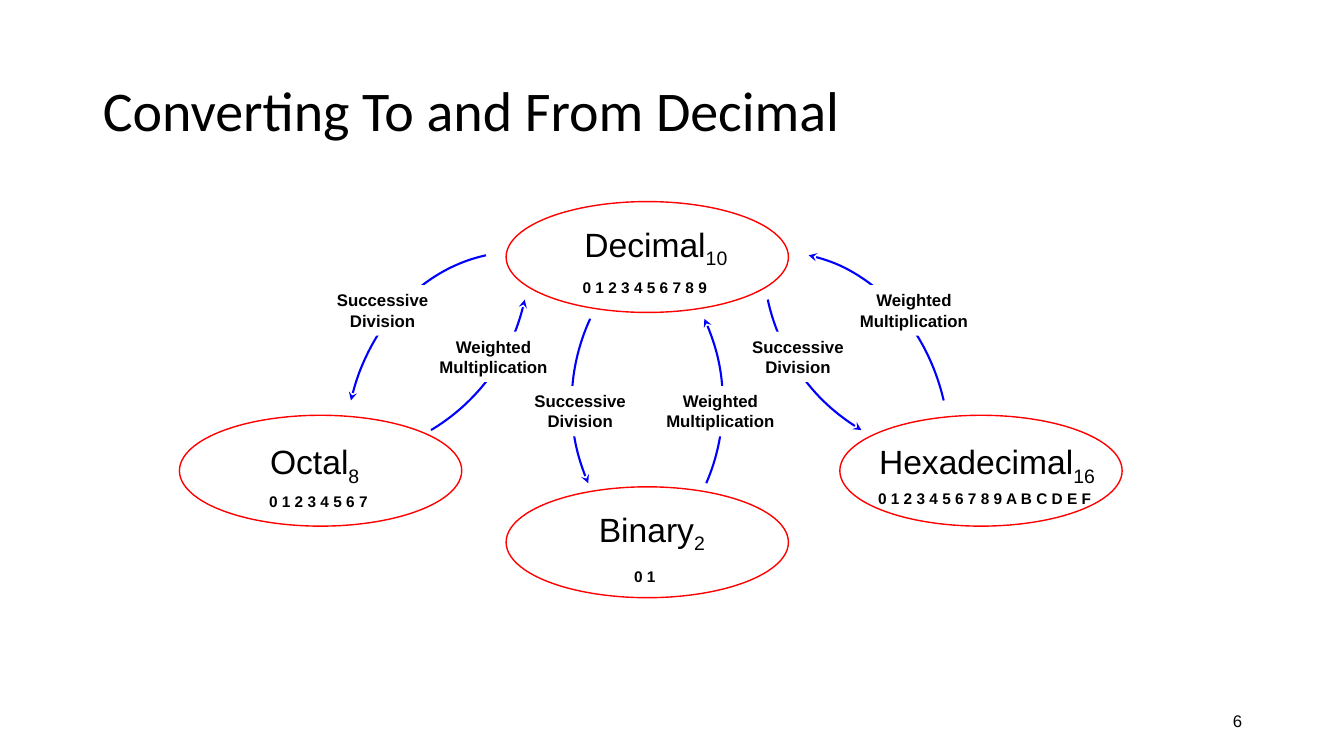
import lxml.etree
import pptx
import pptx.dml.color
import pptx.enum.shapes
import pptx.enum.text
import pptx.oxml.ns
import pptx.util
from pptx.util import Inches

BLACK = pptx.dml.color.RGBColor(0, 0, 0)
WHITE = pptx.dml.color.RGBColor(255, 255, 255)
RED = pptx.dml.color.RGBColor(255, 0, 0)
BLUE = pptx.dml.color.RGBColor(0, 0, 255)
SHAPES = pptx.enum.shapes.MSO_SHAPE
ALIGN = pptx.enum.text.PP_ALIGN
ANCHOR = pptx.enum.text.MSO_ANCHOR
qn = pptx.oxml.ns.qn


def write(frame, text, size, font="Arial", bold=False, align=ALIGN.LEFT,
          anchor=ANCHOR.TOP, wrap=False, subscript="", spacing=1.0):
    """Fill a text frame, one paragraph per line, with an optional closing subscript."""
    frame.auto_size = pptx.enum.text.MSO_AUTO_SIZE.NONE
    frame.word_wrap = wrap
    frame.vertical_anchor = anchor
    for number, line in enumerate(text.split("\n")):
        paragraph = frame.add_paragraph() if number else frame.paragraphs[0]
        paragraph.alignment = align
        paragraph.line_spacing = spacing
        for part in filter(None, (line, subscript)):
            run = paragraph.add_run()
            run.text = part
            run.font.name = font
            run.font.size = pptx.util.Pt(size)
            run.font.bold = bold
            run.font.color.rgb = BLACK
        if subscript:
            run.font._element.set("baseline", "-25000")


def add_plain_shape(preset, left, top, width, height, fill=None, line=None, weight=1):
    shape = slide.shapes.add_shape(
        preset, Inches(left), Inches(top), Inches(width), Inches(height))
    shape.shadow.inherit = False
    if fill is None:
        shape.fill.background()
    else:
        shape.fill.solid()
        shape.fill.fore_color.rgb = fill
    if line is None:
        shape.line.fill.background()
    else:
        shape.line.color.rgb = line
        shape.line.width = pptx.util.Pt(weight)
    return shape


deck = pptx.Presentation()
deck.slide_width = Inches(13.33)
deck.slide_height = Inches(7.5)
slide = deck.slides.add_slide(deck.slide_layouts[5])

title = slide.shapes.title
title.left, title.top = Inches(0.92), Inches(0.4)
title.width, title.height = Inches(11.5), Inches(1.45)
write(title.text_frame, "Converting To and From Decimal", 40, font="Calibri",
      anchor=ANCHOR.MIDDLE, wrap=True, spacing=0.9)

# Arcs: left, top, width, height, start and end in degrees, mirrored
arcs = [
    (1.25, 0.55, 4, 4, 12.2, 59.16, False),
    (3.42, 2.5, 3.42, 4, 197.7, 261.04, False),
    (3.17, 2, 4, 4, 335.26, 23.4, False),
    (7.57, 0.55, 4, 4, 12.2, 59.16, True),
    (6, 2.5, 3.42, 4, 197.7, 261.04, True),
    (5.67, 2, 4, 4, 335.26, 23.4, True),
]
for left, top, width, height, start, end, mirrored in arcs:
    arc = add_plain_shape(SHAPES.ARC, left, top, width, height, line=BLUE, weight=1.5)
    # An angle is stored in 60000ths of a degree, an adjustment in 100000ths
    arc.adjustments[0] = start * 0.6
    arc.adjustments[1] = end * 0.6
    if mirrored:
        arc._element.spPr.find(qn("a:xfrm")).set("flipH", "1")
    # The arrow points down on the left side and up on the right side of a pair
    arrow_end = "a:tailEnd" if mirrored else "a:headEnd"
    lxml.etree.SubElement(arc.line._get_or_add_ln(), qn(arrow_end), type="stealth")

DIVISION = "Successive\nDivision"
MULTIPLICATION = "Weighted\nMultiplication"
methods = [
    (DIVISION, 3.17, 2.83, 1.25),
    (MULTIPLICATION, 4.25, 3.29, 1.29),
    (DIVISION, 5.17, 3.83, 1.17),
    (MULTIPLICATION, 6.5, 3.83, 1.29),
    (DIVISION, 7.33, 3.29, 1.17),
    (MULTIPLICATION, 8.42, 2.83, 1.29),
]
for method, left, top, width in methods:
    label = add_plain_shape(SHAPES.RECTANGLE, left, top, width, 0.5, fill=WHITE)
    write(label.text_frame, method, 12, bold=True, align=ALIGN.CENTER,
          wrap=method == DIVISION)

# Number systems: ellipse corner, name and base with its box, digits with their box
systems = [
    (5.02, 2, "Decimal", "10", (5.67, 2.17, 1.67), "0 1 2 3 4 5 6 7 8 9", (5.68, 2.71, 1.48)),
    (1.78, 4.12, "Octal", "8", (2.58, 4.33, 1.11), "0 1 2 3 4 5 6 7", (2.57, 4.83, 1.18)),
    (5.02, 4.83, "Binary", "2", (5.84, 5, 1.28), "0 1", (6.19, 5.58, 0.42)),
    (8.33, 4.12, "Hexadecimal", "16", (8.62, 4.33, 2.36),
     "0 1 2 3 4 5 6 7 8 9 A B C D E F", (8.61, 4.8, 2.32)),
]
for left, top, name, base, name_box, digits, digits_box in systems:
    add_plain_shape(SHAPES.OVAL, left, top, 2.8, 1.1, line=RED)
    x, y, width = name_box
    heading = slide.shapes.add_textbox(Inches(x), Inches(y), Inches(width), Inches(0.5))
    write(heading.text_frame, name, 24, subscript=base,
          align=ALIGN.CENTER if name == "Decimal" else ALIGN.LEFT)
    x, y, width = digits_box
    digit_list = slide.shapes.add_textbox(Inches(x), Inches(y), Inches(width), Inches(0.29))
    write(digit_list.text_frame, digits, 11, bold=True)

page_number = slide.shapes.add_textbox(Inches(9.42), Inches(6.95), Inches(3), Inches(0.4))
write(page_number.text_frame, "6", 12, align=ALIGN.RIGHT, anchor=ANCHOR.MIDDLE, wrap=True)

deck.save("out.pptx")
